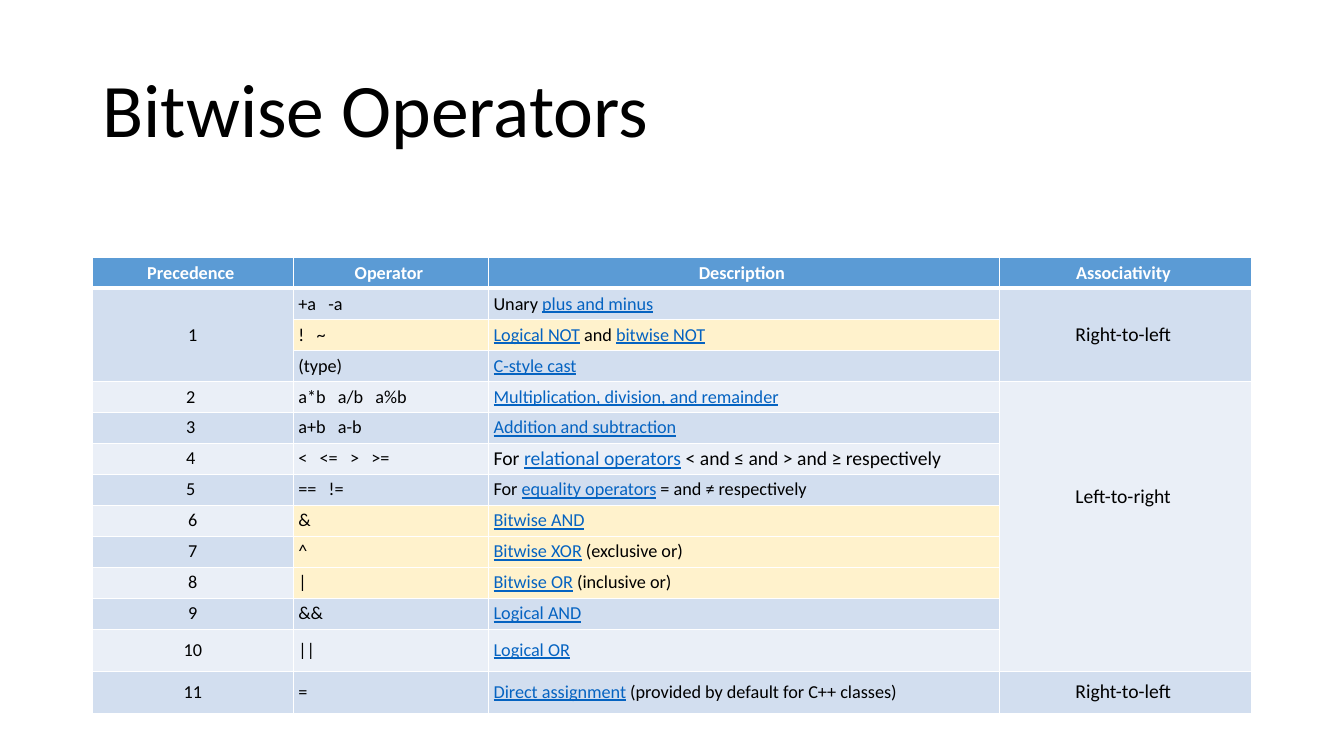
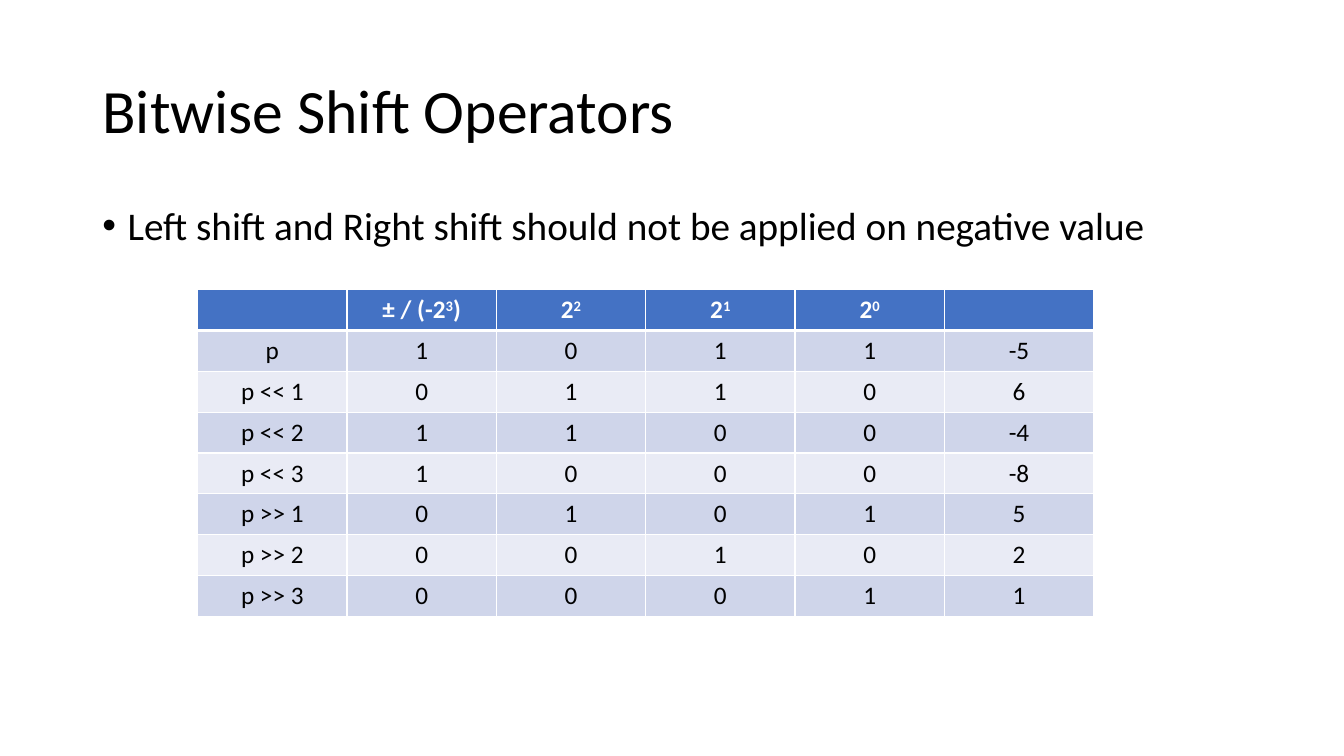
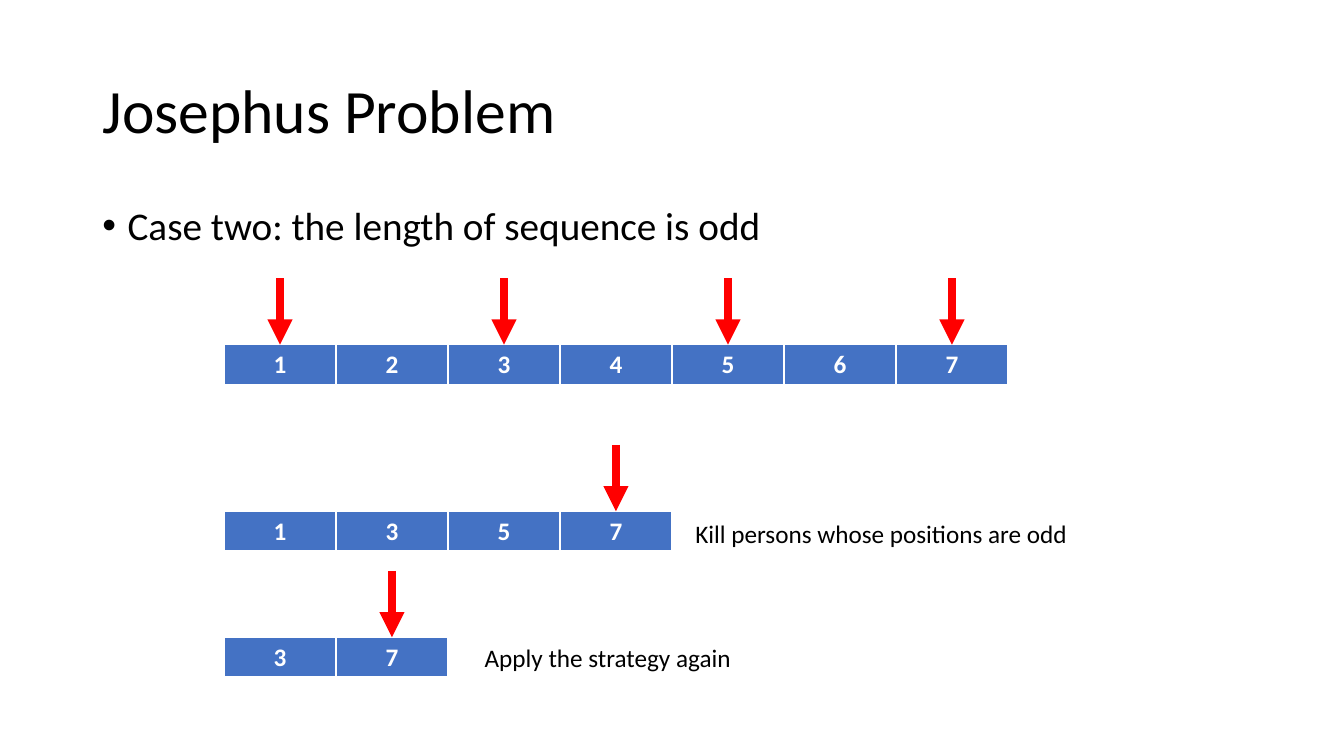
from lxml import etree
from pptx import Presentation
from pptx.dml.color import RGBColor
from pptx.enum import shapes, text
from pptx.oxml import ns
from pptx.util import Pt

rgb = RGBColor.from_string
FONT, BLACK, WHITE, LINK, RED = "Calibri", "000000", "FFFFFF", "0563C1", "FF0000"
SKY = ("5B9BD5", "D2DEEF", "EAEFF7")    # header, odd rows, even rows
BLUE = ("4472C4", "CFD5EA", "E9EBF5")
GOLD = "FFF2CC"

deck = Presentation()
deck.slide_width, deck.slide_height = Pt(960), Pt(540)


def page(title, bullet=None, size=44):
    """Add a slide with a title and, if given, one bullet."""
    slide = deck.slides.add_slide(deck.slide_layouts[1 if bullet else 5])
    parts = [(slide.shapes.title, title, size, 28.8, 104.4)]
    if bullet:
        parts.append((slide.placeholders[1], bullet, 28, 144, 342.7))
    for box, words, pts, top, high in parts:
        box.left, box.top, box.width, box.height = Pt(66), Pt(top), Pt(828), Pt(high)
        frame = box.text_frame
        frame.text = words
        frame.auto_size = text.MSO_AUTO_SIZE.NONE
        par = frame.paragraphs[0]
        par.alignment = text.PP_ALIGN.LEFT
        par.line_spacing = 0.9
        par.font.name, par.font.size = FONT, Pt(pts)
        par.font.color.rgb = rgb(BLACK)
    if bullet:
        par.space_before = Pt(10)
        props = par._p.get_or_add_pPr()
        props.set("marL", str(Pt(18)))
        props.set("indent", str(Pt(-18)))
    return slide


def grid(slide, left, top, cols, highs, rows, hues, size=18, links=False):
    """Add a table; text between underscores is a link or a superscript."""
    frame = slide.shapes.add_table(len(rows), len(cols), Pt(left), Pt(top),
                                   Pt(sum(cols)), Pt(sum(highs)))
    table = frame.table
    for col, wide in zip(table.columns, cols):
        col.width = Pt(wide)
    for r, (row, high) in enumerate(zip(rows, highs)):
        table.rows[r].height = Pt(high)
        for c, words in enumerate(row):
            cell = table.cell(r, c)
            cell.vertical_anchor = text.MSO_ANCHOR.MIDDLE
            cell.margin_left = cell.margin_right = Pt(3.6)
            cell.margin_top = cell.margin_bottom = Pt(1.44)
            cell.fill.solid()
            cell.fill.fore_color.rgb = rgb(hues[0 if r == 0 else 2 - r % 2])
            # Text
            par = cell.text_frame.paragraphs[0]
            par.alignment = text.PP_ALIGN.CENTER
            par.font.name, par.font.size = FONT, Pt(size)
            par.font.bold = r == 0
            par.font.color.rgb = rgb(BLACK if r else WHITE)
            for i, part in enumerate(words.split("_")):
                if not part:
                    continue
                run = par.add_run()
                run.text = part
                if i % 2 and links:
                    run.font.underline = True
                    run.font.color.rgb = rgb(LINK)
                elif i % 2:
                    run._r.get_or_add_rPr().set("baseline", "30000")
            # Borders, thick below the header
            props = cell._tc.get_or_add_tcPr()
            for i, side in enumerate("LRTB"):
                thick = (side, r) in (("B", 0), ("T", 1))
                line = etree.Element(ns.qn("a:ln" + side), w=str(Pt(3 if thick else 1)))
                fill = etree.SubElement(line, ns.qn("a:solidFill"))
                etree.SubElement(fill, ns.qn("a:srgbClr"), val=WHITE)
                props.insert(i, line)
    return table


# Slide 1: operator precedence
slide = page("Bitwise Operators", size=54)
rows = [
    ("Precedence ", "Operator ", "Description ", "Associativity "),
    ("1", "+a   -a", "Unary _plus and minus_ ", "Right-to-left "),
    ("", "!   ~", "_Logical NOT_ and _bitwise NOT_ ", ""),
    ("", "(type)", "_C-style cast_ ", ""),
    ("2 ", "a*b   a/b   a%b", "_Multiplication, division, and remainder_ ", "Left-to-right "),
    ("3 ", "a+b   a-b", "_Addition and subtraction_ ", ""),
    ("4 ", "<   <=   >   >=", "For _relational operators_ < and ≤ and > and ≥ respectively", ""),
    ("5 ", "==   !=", "For _equality operators_ = and ≠ respectively", ""),
    ("6", "&", "_Bitwise AND_ ", ""),
    ("7", "^", "_Bitwise XOR_ (exclusive or)", ""),
    ("8", "|", "_Bitwise OR_ (inclusive or)", ""),
    ("9", "&&", "_Logical AND_ ", ""),
    ("10", "||", "_Logical OR_ ", ""),
    ("11", "=", "_Direct assignment_ (provided by default for C++ classes)", "Right-to-left "),
]
table = grid(slide, 66, 183.8, [143.5, 139.5, 364.8, 180.2], [22.14] * 12 + [30, 30],
             rows, SKY, 13, links=True)
for r in range(1, len(rows)):
    for c in (1, 2):
        cell = table.cell(r, c)
        cell.text_frame.paragraphs[0].alignment = text.PP_ALIGN.LEFT
        if r in (2, 8, 9, 10):
            cell.fill.fore_color.rgb = rgb(GOLD)
for r, c in ((1, 3), (4, 3), (6, 2), (13, 3)):
    table.cell(r, c).text_frame.paragraphs[0].font.size = Pt(14)
for first, last, c in ((1, 3, 0), (1, 3, 3), (4, 12, 3)):
    table.cell(first, c).merge(table.cell(last, c))
table.cell(4, 3).margin_bottom = Pt(43)

# Slide 2: shifts of a four-bit number
slide = page("Bitwise Shift Operators",
             "Left shift and Right shift should not be applied on negative value")
rows = [
    ("", "± / (-2_3_)", "2_2_", "2_1_", "2_0_", ""),
    ("p", "1", "0", "1", "1", "-5"),
    ("p << 1", "0", "1", "1", "0", "6"),
    ("p << 2", "1", "1", "0", "0", "-4"),
    ("p << 3", "1", "0", "0", "0", "-8"),
    ("p >> 1", "0", "1", "0", "1", "5"),
    ("p >> 2", "0", "0", "1", "0", "2"),
    ("p >> 3", "0", "0", "0", "1", "1"),
]
grid(slide, 141.2, 206.8, [106.67] * 6, [29.2] * 8, rows, BLUE)

# Slide 3: rounds of the game, arrows on those marked
slide = page("Josephus Problem", "Case two: the length of sequence is odd")
LEFT, WIDE = 160, 80
for top, nums, marks in ((246.2, "1234567", (0, 2, 4, 6)), (365.2, "1357", (3,)),
                         (455.2, "37", (1,))):
    grid(slide, LEFT, top, [WIDE] * len(nums), [29.2], [nums], BLUE)
    for mark in marks:
        x = Pt(LEFT + WIDE * (mark + 0.5))
        arrow = slide.shapes.add_connector(shapes.MSO_CONNECTOR.STRAIGHT,
                                           x, Pt(top - 47.5), x, Pt(top))
        arrow.line.color.rgb = rgb(RED)
        arrow.line.width = Pt(6)
        etree.SubElement(arrow.line._get_or_add_ln(), ns.qn("a:tailEnd"), type="triangle")
        etree.SubElement(arrow._element.spPr, ns.qn("a:effectLst"))

for left, top, wide, words in ((489.6, 366.5, 282, "Kill persons whose positions are odd"),
                               (339.1, 455.2, 480, "Apply the strategy again")):
    box = slide.shapes.add_textbox(Pt(left), Pt(top), Pt(wide), Pt(29))
    box.text_frame.word_wrap = True
    box.text_frame.text = words
    par = box.text_frame.paragraphs[0]
    par.font.name, par.font.size = FONT, Pt(18)
    par.font.color.rgb = rgb(BLACK)

deck.save("out.pptx")
